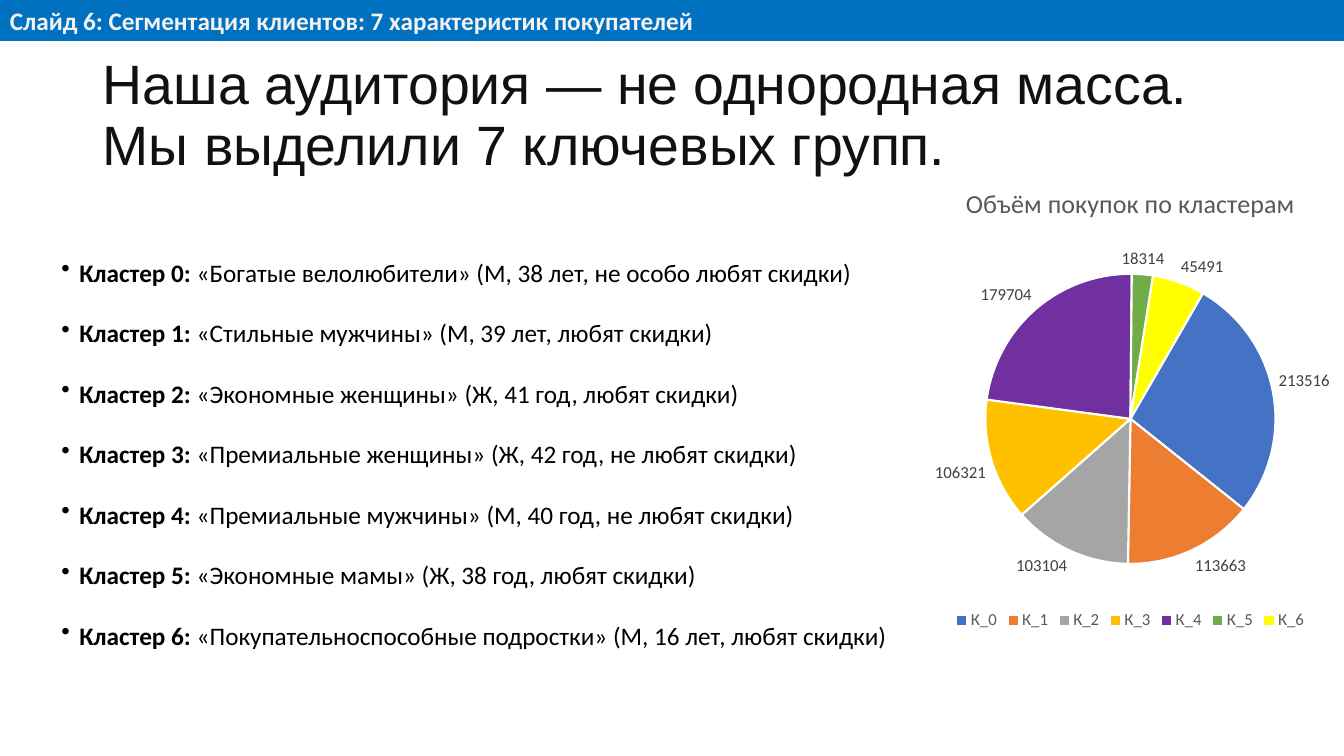
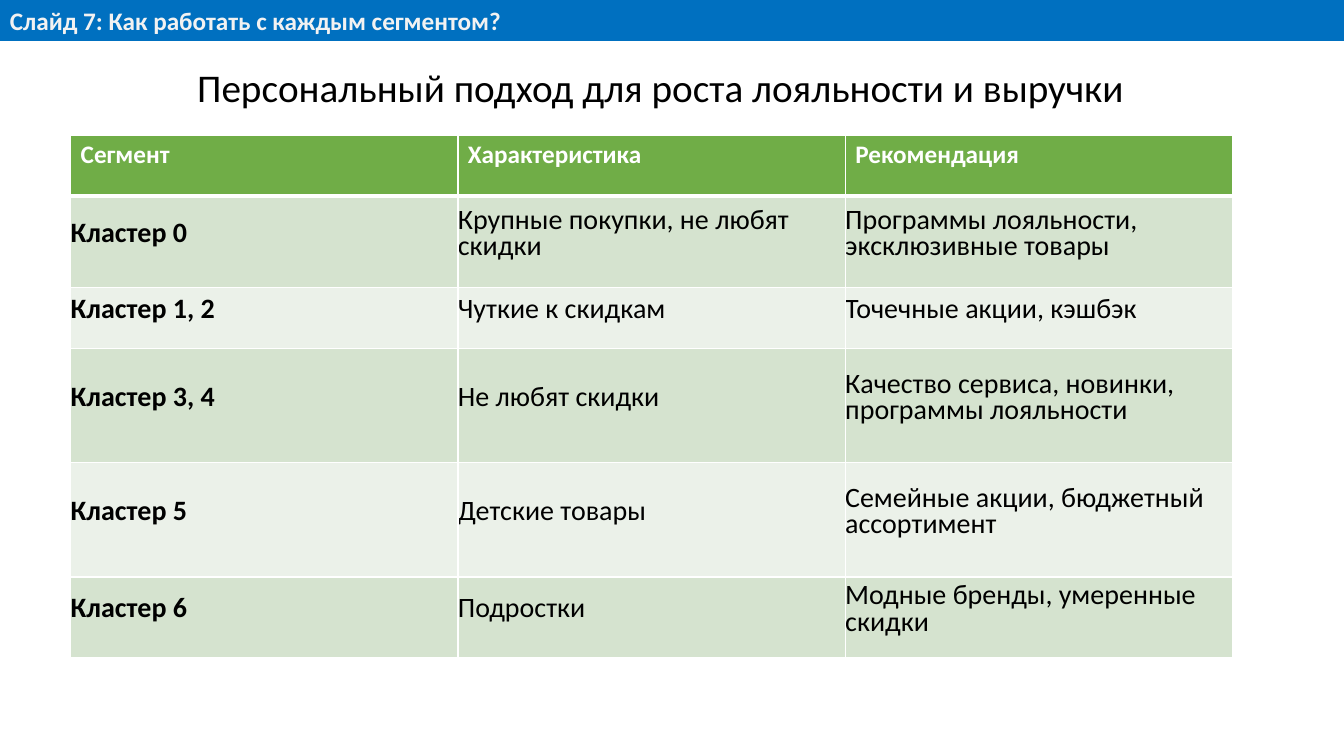
"""Build two slides on customer segments and how to work with them."""
from lxml import etree
from pptx import Presentation
from pptx.chart.data import CategoryChartData
from pptx.dml.color import RGBColor
from pptx.enum.chart import XL_CHART_TYPE, XL_LABEL_POSITION, XL_LEGEND_POSITION
from pptx.enum.shapes import MSO_SHAPE
from pptx.enum.text import MSO_ANCHOR, PP_ALIGN
from pptx.oxml import parse_xml
from pptx.oxml.ns import nsdecls, qn
from pptx.util import Cm, Pt

PIE = XL_CHART_TYPE.PIE
OUTSIDE = XL_LABEL_POSITION.OUTSIDE_END
LEGEND_BOTTOM = XL_LEGEND_POSITION.BOTTOM
RECTANGLE = MSO_SHAPE.RECTANGLE
TOP, MIDDLE = MSO_ANCHOR.TOP, MSO_ANCHOR.MIDDLE
LEFT = PP_ALIGN.LEFT

PAGE_WIDTH, PAGE_HEIGHT = 33.87, 19.05
BODY_FONT, TITLE_FONT = "Calibri", "Arial"
BLACK, WHITE, INK = "000000", "FFFFFF", "0F1115"
BAND_BLUE, BAND_TEXT = "0070C0", "F2F2F2"
CHART_GREY, LABEL_GREY = "595959", "404040"
HEADER_GREEN, ROW_TINTS = "70AD47", ("D5E3CF", "EBF1E9")
SLICE_COLOURS = ("4472C4", "ED7D31", "A5A5A5", "FFC000", "7030A0", "70AD47", "FFFF00")

CLUSTERS = (
    "«Богатые велолюбители» (М, 38 лет, не особо любят скидки)",
    "«Стильные мужчины» (М, 39 лет, любят скидки)",
    "«Экономные женщины» (Ж, 41 год, любят скидки)",
    "«Премиальные женщины» (Ж, 42 год, не любят скидки)",
    "«Премиальные мужчины» (М, 40 год, не любят скидки)",
    "«Экономные мамы» (Ж, 38 год, любят скидки)",
    "«Покупательноспособные подростки» (М, 16 лет, любят скидки)",
)
PURCHASES = (213516, 113663, 103104, 106321, 179704, 18314, 45491)
SEGMENTS = (
    ("Сегмент", "Характеристика", "Рекомендация"),
    ("Кластер 0", "Крупные покупки, не любят скидки",
     "Программы лояльности, эксклюзивные товары"),
    ("Кластер 1, 2", "Чуткие к скидкам", "Точечные акции, кэшбэк"),
    ("Кластер 3, 4", "Не любят скидки",
     "Качество сервиса, новинки, программы лояльности"),
    ("Кластер 5", "Детские товары", "Семейные акции, бюджетный ассортимент"),
    ("Кластер 6", "Подростки", "Модные бренды, умеренные скидки"),
)
ROW_HEIGHTS = (1.54, 2.3, 1.54, 2.88, 2.88, 2.03)


def colour(value):
    """Turn a hex string into a colour."""
    return RGBColor.from_string(value)


def style_font(font, size, ink=BLACK, name=BODY_FONT, bold=False):
    """Set the look of a font."""
    font.name, font.size, font.bold = name, Pt(size), bold
    font.color.rgb = colour(ink)


def add_span(para, text, size=18, **style):
    """Add a formatted run to a paragraph."""
    span = para.add_run()
    span.text = text
    style_font(span.font, size, **style)


def write_lines(frame, lines, spacing=None, anchor=TOP, **style):
    """Write lines into a text frame, one paragraph each."""
    frame.word_wrap = True
    frame.vertical_anchor = anchor
    for index, line in enumerate(lines):
        para = frame.paragraphs[0] if index == 0 else frame.add_paragraph()
        para.alignment = LEFT
        para.line_spacing = spacing
        add_span(para, line, **style)


def add_text(page, place, lines, **style):
    """Add a text box at a place given in centimetres."""
    box = page.shapes.add_textbox(*map(Cm, place))
    write_lines(box.text_frame, lines, **style)


def add_page(deck, heading):
    """Add a blank page with the blue heading band."""
    page = deck.slides.add_slide(deck.slide_layouts[6])
    band = page.shapes.add_shape(RECTANGLE, 0, 0, Cm(PAGE_WIDTH), Cm(1.03))
    band.shadow.inherit = False
    band.fill.solid()
    band.fill.fore_color.rgb = colour(BAND_BLUE)
    band.line.fill.background()
    write_lines(band.text_frame, [heading], anchor=MIDDLE, ink=BAND_TEXT, bold=True)
    return page


def add_bullet(para, indent):
    """Give a paragraph a round bullet and a hanging indent."""
    properties = para._p.get_or_add_pPr()
    properties.set("marL", str(indent))
    properties.set("indent", str(-indent))
    etree.SubElement(properties, qn("a:buChar")).set("char", "•")


def add_cluster_list(page, place, clusters):
    """Add the bulleted list of numbered clusters."""
    frame = page.shapes.add_textbox(*map(Cm, place)).text_frame
    frame.word_wrap = True
    for number, description in enumerate(clusters):
        para = frame.paragraphs[0] if number == 0 else frame.add_paragraph()
        para.space_after = Pt(21.6)
        add_bullet(para, Cm(0.45))
        add_span(para, f"Кластер {number}: ", bold=True)
        add_span(para, description)


def set_plot_area(chart, **fractions):
    """Fix the inner plot area as fractions of the chart."""
    values = "".join(f'<c:{key} val="{value}"/>' for key, value in fractions.items())
    layout = parse_xml(
        f'<c:layout {nsdecls("c")}><c:manualLayout><c:layoutTarget val="inner"/>'
        f'<c:xMode val="edge"/><c:yMode val="edge"/>{values}'
        "</c:manualLayout></c:layout>")
    area = chart._chartSpace.chart.plotArea
    for old in area.findall(qn("c:layout")):
        area.remove(old)
    area.insert(0, layout)


def add_pie(page, place, title, values):
    """Add the pie chart of purchases by cluster."""
    data = CategoryChartData()
    data.categories = [f"К_{number}" for number in range(len(values))]
    data.add_series(title, values)
    chart = page.shapes.add_chart(PIE, *map(Cm, place), data).chart
    style_font(chart.font, 12, CHART_GREY)
    chart.has_title = True
    add_span(chart.chart_title.text_frame.paragraphs[0], title, 18.6, ink=CHART_GREY)
    chart.has_legend = True
    chart.legend.position = LEGEND_BOTTOM
    chart.legend.include_in_layout = False
    style_font(chart.legend.font, 12, CHART_GREY)
    plot = chart.plots[0]
    plot.vary_by_categories = True
    plot.has_data_labels = True
    labels = plot.data_labels
    labels.show_value, labels.show_percentage = True, False
    labels.position = OUTSIDE
    style_font(labels.font, 12, LABEL_GREY)
    for index, fill in enumerate(SLICE_COLOURS):
        look = plot.series[0].points[index].format
        look.fill.solid()
        look.fill.fore_color.rgb = colour(fill)
        look.line.color.rgb = colour(WHITE)
        look.line.width = Pt(1.5)
    angle = etree.SubElement(plot._element, qn("c:firstSliceAng"))
    for old in plot._element.findall(qn("c:firstSliceAng"))[:-1]:
        plot._element.remove(old)
    angle.set("val", "30")
    set_plot_area(chart, x=0.16, y=0.23, w=0.68, h=0.62)


def set_borders(cell, **widths):
    """Draw white cell borders with widths in points."""
    properties = cell._tc.get_or_add_tcPr()
    for side, width in widths.items():
        properties.append(parse_xml(
            f'<a:ln{side} {nsdecls("a")} w="{Pt(width)}"><a:solidFill>'
            f'<a:srgbClr val="{WHITE}"/></a:solidFill></a:ln{side}>'))


def fill_cell(cell, text, row, column):
    """Write and format one cell according to its row and column."""
    header = row == 0
    set_borders(cell, L=1, R=1, T=3 if row == 1 else 1, B=3 if header else 1)
    cell.fill.solid()
    cell.fill.fore_color.rgb = colour(HEADER_GREEN if header else ROW_TINTS[(row - 1) % 2])
    para = cell.text_frame.paragraphs[0]
    if header:
        add_span(para, text, ink=WHITE, bold=True)
        return
    cell.vertical_anchor = MIDDLE
    cell.margin_left = cell.margin_right = cell.margin_top = 0
    cell.margin_bottom = Cm(0.25)
    para.line_spacing = Pt(18.8)
    add_span(para, text, 20, bold=column == 0)


def add_segment_table(page, left, top, width, rows, heights):
    """Add the table of segments with equal columns."""
    columns = len(rows[0])
    table = page.shapes.add_table(
        len(rows), columns, Cm(left), Cm(top), Cm(width), Cm(sum(heights))).table
    for row, (texts, height) in enumerate(zip(rows, heights)):
        table.rows[row].height = Cm(height)
        for column, text in enumerate(texts):
            fill_cell(table.cell(row, column), text, row, column)


def main():
    """Build and save the deck."""
    deck = Presentation()
    deck.slide_width, deck.slide_height = Cm(PAGE_WIDTH), Cm(PAGE_HEIGHT)

    page = add_page(deck, "Слайд 6: Сегментация клиентов: 7 характеристик покупателей")
    add_text(page, (2.34, 1.27, 29.2, 3.1),
             ["Наша аудитория — не однородная масса.", "Мы выделили 7 ключевых групп."],
             size=39.6, ink=INK, name=TITLE_FONT, spacing=0.92)
    add_pie(page, (23.11, 4.19, 10.76, 11.79), "Объём покупок по кластерам", PURCHASES)
    add_cluster_list(page, (1.3, 6.35, 21.82, 10.26), CLUSTERS)

    page = add_page(deck, "Слайд 7: Как работать с каждым сегментом?")
    add_text(page, (4.72, 1.47, 24.41, 1.45),
             ["Персональный подход для роста лояльности и выручки"], size=28)
    add_segment_table(page, 1.78, 3.4, 29.28, SEGMENTS, ROW_HEIGHTS)
    deck.save("out.pptx")


if __name__ == "__main__":
    main()
